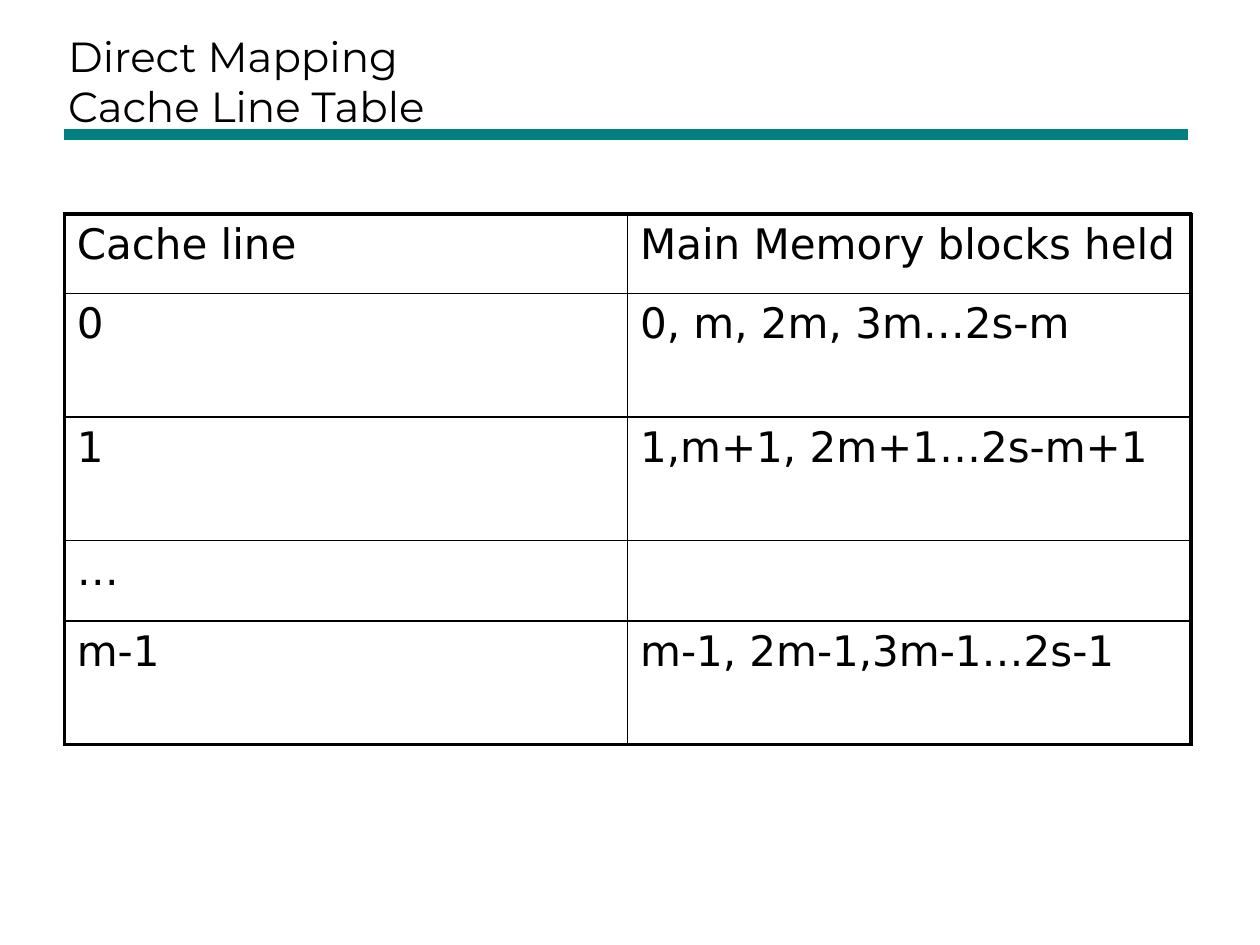
from dataclasses import dataclass

import pptx
import pptx.dml.color
import pptx.enum.shapes
import pptx.enum.text
import pptx.oxml
import pptx.oxml.ns
import pptx.util
from pptx.util import Pt


@dataclass(frozen=True)
class Theme:
    ink: str = "000000"
    accent: str = "008080"
    title_font: str = "Montserrat"
    table_font: str = "DejaVu Sans"
    text_size: float = 24
    rule_width: float = 6
    outer_border: float = 2.25
    inner_border: float = 1


THEME = Theme()
LEFT = 36.7
TITLE = "Direct Mapping\vCache Line Table"
ROWS = [
    ("Cache line", "Main Memory blocks held"),
    ("0", "0, m, 2m, 3m…2s-m"),
    ("1", "1,m+1, 2m+1…2s-m+1"),
    ("…", ""),
    ("m-1", "m-1, 2m-1,3m-1…2s-1"),
]
ROW_HEIGHTS = [45.4, 70.6, 70.6, 46, 70.6]
COLUMN_WIDTH = 321.9


def rgb(value):
    return pptx.dml.color.RGBColor.from_string(value)


def style_paragraph(para, font_name):
    para.alignment = pptx.enum.text.PP_ALIGN.LEFT
    para.font.name = font_name
    para.font.size = Pt(THEME.text_size)
    para.font.bold = False
    para.font.color.rgb = rgb(THEME.ink)


def add_title(page):
    title = page.shapes.title
    title.left, title.top = Pt(31.7), Pt(12.2)
    title.width, title.height = Pt(645.8), Pt(66.2)
    frame = title.text_frame
    frame.text = TITLE
    frame.word_wrap = True
    frame.auto_size = pptx.enum.text.MSO_AUTO_SIZE.NONE
    frame.vertical_anchor = pptx.enum.text.MSO_ANCHOR.BOTTOM
    style_paragraph(frame.paragraphs[0], THEME.title_font)


def add_rule(page):
    y = Pt(77)
    rule = page.shapes.add_connector(
        pptx.enum.shapes.MSO_CONNECTOR.STRAIGHT, Pt(LEFT), y, Pt(679), y)
    rule.line.color.rgb = rgb(THEME.accent)
    rule.line.width = Pt(THEME.rule_width)
    properties = rule._element.spPr
    properties.append(properties.makeelement(pptx.oxml.ns.qn("a:effectLst")))


def set_borders(cell, outer_sides):
    """Draw all four sides, the ones on the table's edge heavier."""
    properties = cell._tc.get_or_add_tcPr()
    for index, side in enumerate("LRTB"):
        width = THEME.outer_border if side in outer_sides else THEME.inner_border
        properties.insert(index, pptx.oxml.parse_xml(
            f'<a:ln{side} {pptx.oxml.ns.nsdecls("a")} w="{Pt(width)}">'
            f'<a:solidFill><a:srgbClr val="{THEME.ink}"/></a:solidFill>'
            f'</a:ln{side}>'))


def add_cache_table(page):
    row_count, column_count = len(ROWS), len(ROWS[0])
    table = page.shapes.add_table(
        row_count, column_count, Pt(LEFT), Pt(122.4),
        Pt(COLUMN_WIDTH * column_count), Pt(sum(ROW_HEIGHTS))).table
    table.first_row = table.horz_banding = False
    for column in table.columns:
        column.width = Pt(COLUMN_WIDTH)
    for r, (texts, height) in enumerate(zip(ROWS, ROW_HEIGHTS)):
        table.rows[r].height = Pt(height)
        for c, text in enumerate(texts):
            cell = table.cell(r, c)
            cell.text = text
            cell.fill.background()
            style_paragraph(cell.text_frame.paragraphs[0], THEME.table_font)
            edges = {"L": c == 0, "R": c == column_count - 1,
                     "T": r == 0, "B": r == row_count - 1}
            set_borders(cell, [side for side, outer in edges.items() if outer])


def main():
    deck = pptx.Presentation()
    deck.slide_width, deck.slide_height = Pt(720), Pt(540)
    page = deck.slides.add_slide(deck.slide_layouts.get_by_name("Title Only"))
    add_rule(page)
    add_title(page)
    add_cache_table(page)
    deck.save("out.pptx")


if __name__ == "__main__":
    main()
